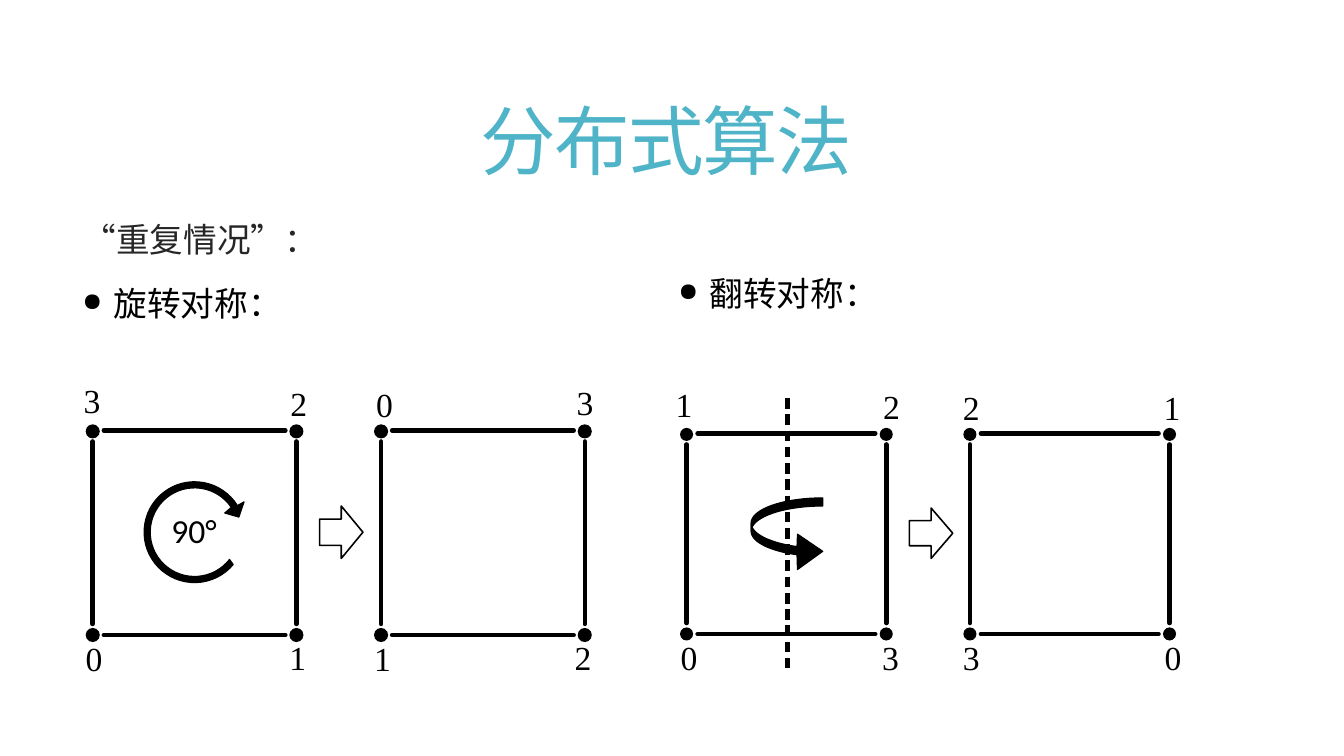
from math import cos, radians, sin

from lxml import etree
from pptx import Presentation
from pptx import util as u
from pptx.dml.color import RGBColor
from pptx.enum import lang, shapes, text
from pptx.oxml.ns import qn


def paint(part, code):
    part.solid()
    part.fore_color.rgb = RGBColor.from_string(code)


def write(box, words, size, face, code, pad=0.1, bullet=None):
    frame = box.text_frame
    frame.text = words
    frame.margin_left = frame.margin_right = u.Inches(pad)
    frame.margin_top = frame.margin_bottom = u.Inches(pad / 2)
    para = frame.paragraphs[0]
    font = para.runs[0].font
    font.size, font.name = u.Pt(size), face
    font.language_id = lang.MSO_LANGUAGE_ID.SIMPLIFIED_CHINESE
    paint(font.fill, code)
    props = para._p.get_or_add_pPr()
    dent = u.Inches(0.31) if bullet else 0
    props.set("marL", str(dent))
    props.set("indent", str(-dent))
    if bullet:
        etree.SubElement(props, qn("a:buSzPct")).set("val", "75000")
        etree.SubElement(props, qn("a:buChar")).set("char", bullet)
    else:
        etree.SubElement(props, qn("a:buNone"))
    return para


INK = "000000"
deck = Presentation()
deck.slide_width, deck.slide_height = u.Inches(13.33), u.Inches(7.5)
slide = deck.slides.add_slide(deck.slide_layouts[1])
title, body = slide.placeholders

for box, top, high in ((title, 0.55, 1.81), (body, 2.18, 0.48)):
    box.left, box.top = u.Inches(0.72), u.Inches(top)
    box.width, box.height = u.Inches(11.78), u.Inches(high)
    box.text_frame.auto_size = text.MSO_AUTO_SIZE.NONE

para = write(title, "分布式算法", 54, "Calibri", "50B4C8")
para.alignment = text.PP_ALIGN.CENTER
para.line_spacing = 0.85
para.runs[0].font._element.set("spc", "-120")
title.text_frame.vertical_anchor = text.MSO_ANCHOR.MIDDLE

para = write(body, "“重复情况”：", 24, "Times New Roman", "262626")
para.line_spacing = 0.85
para.space_before = u.Pt(13)
body.text_frame.vertical_anchor = text.MSO_ANCHOR.TOP

for words, left, top, wide in (("旋转对称：", 0.72, 2.76, 3.7),
                               ("翻转对称：", 6.63, 2.66, 5.87)):
    box = slide.shapes.add_textbox(*map(u.Inches, (left, top, wide, 0.5)))
    box.text_frame.word_wrap = True
    write(box, words, 24, "Calibri", INK, bullet="●")

turn = slide.shapes.add_group_shape().shapes
flip = slide.shapes.add_group_shape().shapes

squares = (
    (turn, 0.92, 4.28, 2.02, 0.14, 3.25,
     (("3", 0.83, 3.77), ("2", 2.88, 3.8), ("0", 0.85, 6.33), ("1", 2.87, 6.32))),
    (turn, 3.78, 4.28, 2.02, 0.14, 3.25,
     (("0", 3.73, 3.81), ("3", 5.72, 3.79), ("1", 3.71, 6.33), ("2", 5.7, 6.32))),
    (flip, 6.81, 4.31, 1.98, 0.13, 3.38,
     (("1", 6.7, 3.81), ("2", 8.76, 3.83), ("0", 6.75, 6.32), ("3", 8.75, 6.32))),
    (flip, 9.62, 4.31, 1.98, 0.13, 3.38,
     (("2", 9.55, 3.84), ("1", 11.54, 3.84), ("3", 9.55, 6.32), ("0", 11.55, 6.32))),
)
lines = [(flip, 7.81, 3.95, 7.81, 6.63, 4, True)]
gap = 0.11
for group, left, top, side, dot, thick, labels in squares:
    right, base = left + side, top + side
    for y in (top - 0.01, base):
        lines.append((group, left + gap, y, right - gap, y, thick, False))
    for x in (left, right):
        lines.append((group, x, base - gap, x, top + 0.1, thick, False))
        for y in (top, base):
            ball = group.add_shape(
                shapes.MSO_SHAPE.OVAL,
                *map(u.Inches, (x - dot / 2, y - dot / 2, dot, dot)))
            ball.shadow.inherit = False
            paint(ball.fill, INK)
            ball.line.fill.background()
    for digit, x, y in labels:
        box = group.add_textbox(*map(u.Inches, (x, y, 0.22, 0.48)))
        box.text_frame.word_wrap = False
        write(box, digit, 24, "Times New Roman", INK, pad=0)

for group, x1, y1, x2, y2, thick, dashed in lines:
    edge = group.add_connector(shapes.MSO_CONNECTOR.STRAIGHT,
                               *map(u.Inches, (x1, y1, x2, y2)))
    paint(edge.line.fill, INK)
    edge.line.width = u.Pt(thick)
    etree.SubElement(edge._element.spPr, qn("a:effectLst"))
    if dashed:
        dash = etree.SubElement(edge.line._ln, qn("a:custDash"))
        step = etree.SubElement(dash, qn("a:ds"))
        step.set("d", "190000")
        step.set("sp", "100000")
    else:
        edge.line._ln.set("cap", "rnd")

ring = [(1.93 + r * cos(radians(a)), 5.28 + r * sin(radians(a)))
        for r, sweep in ((0.5, range(-32, -323, -6)), (0.44, range(-322, -31, 6)))
        for a in sweep]
ring += [(2.23, 5.09), (2.37, 5.13), (2.42, 4.98), (2.35, 5.02)]

bow = [(8.16 + 0.71 * cos(radians(a)), y + 0.25 * sin(radians(a)))
       for y, sweep in ((5.19, range(270, 179, -5)), (5.27, range(180, 271, 5)))
       for a in sweep]

hook = [(8.16 + 0.71 * cos(radians(a)), y + 0.25 * sin(radians(a)))
        for y, sweep in ((5.27, range(111, 181, 3)), (5.19, range(180, 110, -3)))
        for a in sweep]
hook += [(7.91, 5.3), (8.16, 5.47), (7.91, 5.65)]

for group, dots in ((turn, ring), (flip, bow), (flip, hook)):
    grid = [(u.Inches(x), u.Inches(y)) for x, y in dots]
    pen = group.build_freeform(*grid[0])
    pen.add_line_segments(grid[1:], close=True)
    curve = pen.convert_to_shape()
    curve.shadow.inherit = False
    paint(curve.fill, INK)
    paint(curve.line.fill, INK)
    curve.line.width = u.Pt(0.88)

for group, left, top, high in ((turn, 3.17, 5.02, 0.52), (flip, 9.02, 5.04, 0.5)):
    arrow = group.add_shape(shapes.MSO_SHAPE.RIGHT_ARROW,
                            *map(u.Inches, (left, top, 0.43, high)))
    arrow.shadow.inherit = False
    arrow.fill.background()
    paint(arrow.line.fill, INK)
    arrow.line.width = u.Pt(1.13)

angle = turn.add_textbox(*map(u.Inches, (1.7, 5.06, 0.9, 0.48)))
angle.text_frame.word_wrap = True
write(angle, "90°", 24, "Calibri", INK, pad=0)

deck.save("out.pptx")
